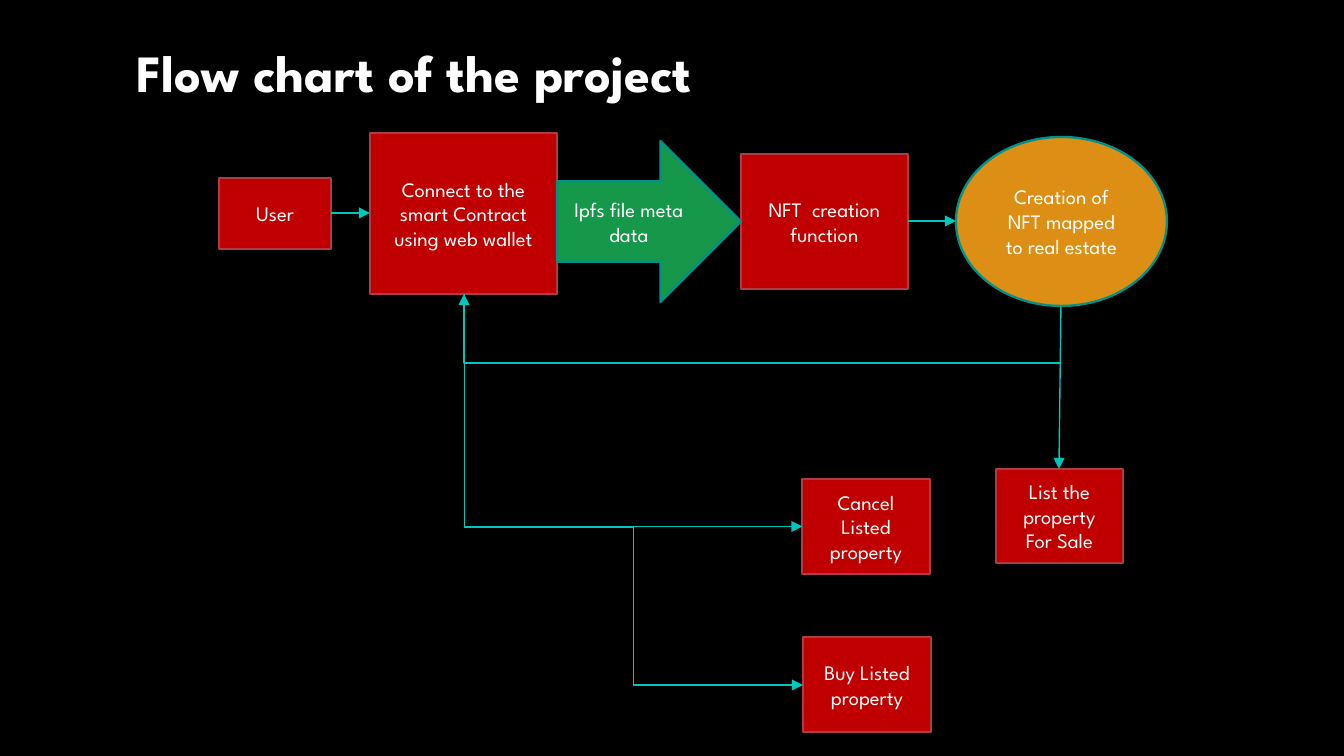
from lxml.etree import SubElement
from pptx import Presentation
from pptx.dml.color import RGBColor
from pptx.enum.shapes import MSO_CONNECTOR as Link, MSO_SHAPE as Shape
from pptx.enum.text import MSO_ANCHOR as Anchor, PP_ALIGN as Align
from pptx.oxml.ns import qn
from pptx.util import Emu, Pt

SCALE = 914400 / 134.4  # EMU per px


def px(*lengths):
    return [Emu(round(n * SCALE)) for n in lengths]


def paint(color_format, hex_color):
    color_format.rgb = RGBColor.from_string(hex_color)


# Slide with black background
deck = Presentation()
deck.slide_width, deck.slide_height = px(1344, 756)
slide = deck.slides.add_slide(deck.slide_layouts[6])
slide.background.fill.solid()
paint(slide.background.fill.fore_color, "000000")

# Flow steps: outline, left, top, width, height, fill, line, wording
RED, DARK_RED, TEAL = "C00000", "AF3C44", "00928A"
steps = [
    (Shape.RECTANGLE, 219, 178, 112, 71, RED, DARK_RED, "User"),
    (Shape.RECTANGLE, 370, 133, 187, 161, RED, DARK_RED,
     "Connect to the smart Contract using web wallet"),
    (Shape.RECTANGLE, 741, 154, 167, 135, RED, DARK_RED, "NFT  creation function"),
    (Shape.RECTANGLE, 996, 469, 127, 94, RED, DARK_RED, "List the property For Sale"),
    (Shape.OVAL, 956, 137, 211, 169, "DC8F14", TEAL,
     "Creation of NFT mapped to real estate"),
    (Shape.RIGHT_ARROW, 557, 141, 184, 161, "159849", TEAL, "Ipfs file meta data"),
    (Shape.RECTANGLE, 802, 479, 128, 95, RED, DARK_RED, "Cancel Listed property"),
    (Shape.RECTANGLE, 803, 637, 128, 95, RED, DARK_RED, "Buy Listed property"),
]
step_font = {"name": "League Spartan", "size": Pt(11), "bold": False}
for outline, left, top, width, height, fill, line, wording in steps:
    step = slide.shapes.add_shape(outline, *px(left, top, width, height))
    step.shadow.inherit = False
    step.fill.solid()
    paint(step.fill.fore_color, fill)
    paint(step.line.color, line)
    step.line.width = Pt(1.25)
    frame = step.text_frame
    frame.word_wrap = True
    frame.vertical_anchor = Anchor.MIDDLE
    frame.text = wording
    frame.paragraphs[0].alignment = Align.CENTER
    font = frame.paragraphs[0].runs[0].font
    for key, value in step_font.items():
        setattr(font, key, value)
    paint(font.color, "FFFFFF")

# Flow arrows: type, preset, corners before rotation, rotation in degrees
flows = [
    (Link.STRAIGHT, "line", 331, 213, 370, 213, 0),
    (Link.STRAIGHT, "line", 908, 221, 956, 221, 0),
    (Link.STRAIGHT, "line", 1061, 306, 1059, 469, 0),
    (Link.ELBOW, "bentConnector2", 464, 294, 1060, 363, 180),
    (Link.ELBOW, "bentConnector2", 750, 241, 517, 579, 270),
    (Link.ELBOW, "bentConnector3", 464, 527, 803, 685, 0),
]
for link, preset, x1, y1, x2, y2, degrees in flows:
    flow = slide.shapes.add_connector(link, *px(x1, y1, x2, y2))
    paint(flow.line.color, "00C6BB")
    flow.line.width = Pt(0.75)
    properties = flow._element.spPr
    properties.find(qn("a:prstGeom")).set("prst", preset)
    if degrees:
        properties.find(qn("a:xfrm")).set("rot", str(degrees * 60000))
    SubElement(properties.find(qn("a:ln")), qn("a:tailEnd"), type="triangle")
    SubElement(properties, qn("a:effectLst"))

# Title
title = slide.shapes.add_textbox(*px(124, 27, 982, 126)).text_frame
inset = px(13)[0]
title_format = {
    "word_wrap": True, "vertical_anchor": Anchor.TOP,
    "margin_left": inset, "margin_right": inset,
    "margin_top": inset, "margin_bottom": inset,
}
for key, value in title_format.items():
    setattr(title, key, value)
title.text = "Flow chart of the project"
title_font = title.paragraphs[0].runs[0].font
for key, value in {"name": "League Spartan", "size": Pt(28), "bold": True}.items():
    setattr(title_font, key, value)
paint(title_font.color, "FEFEFE")

deck.save("out.pptx")
